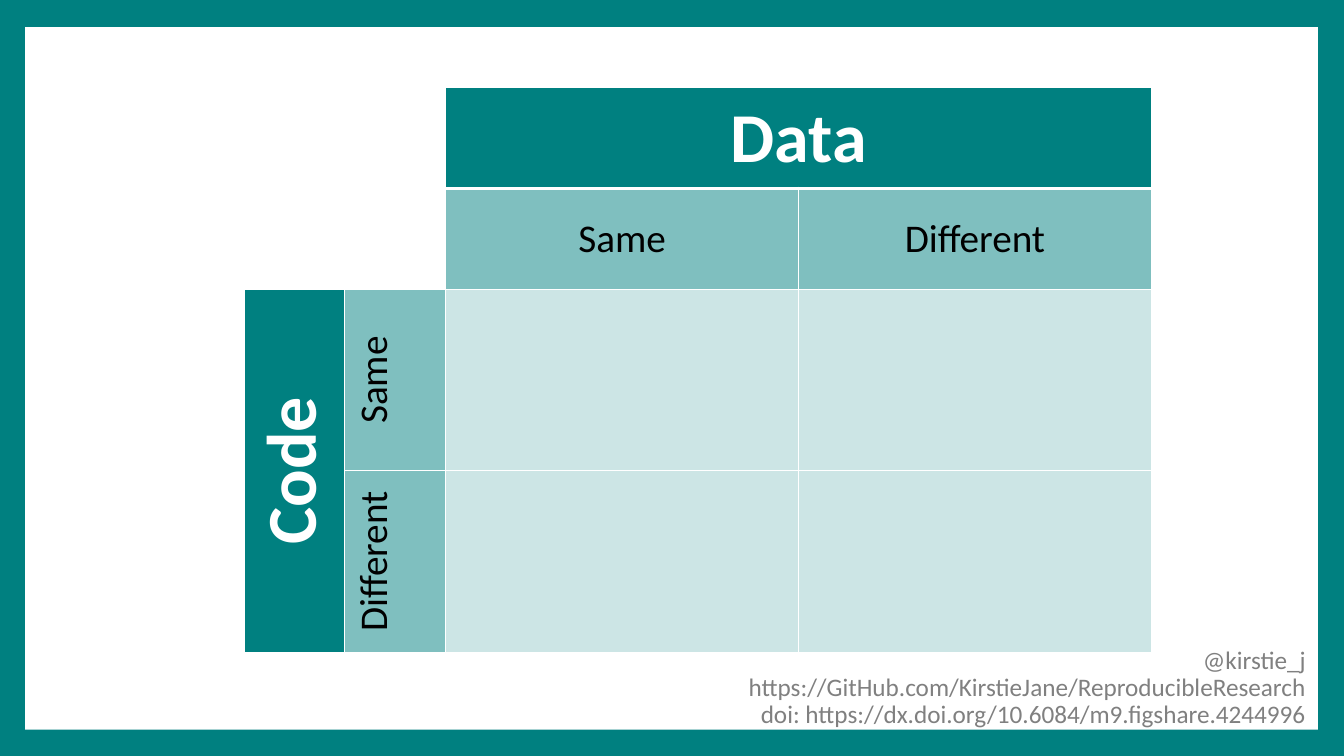
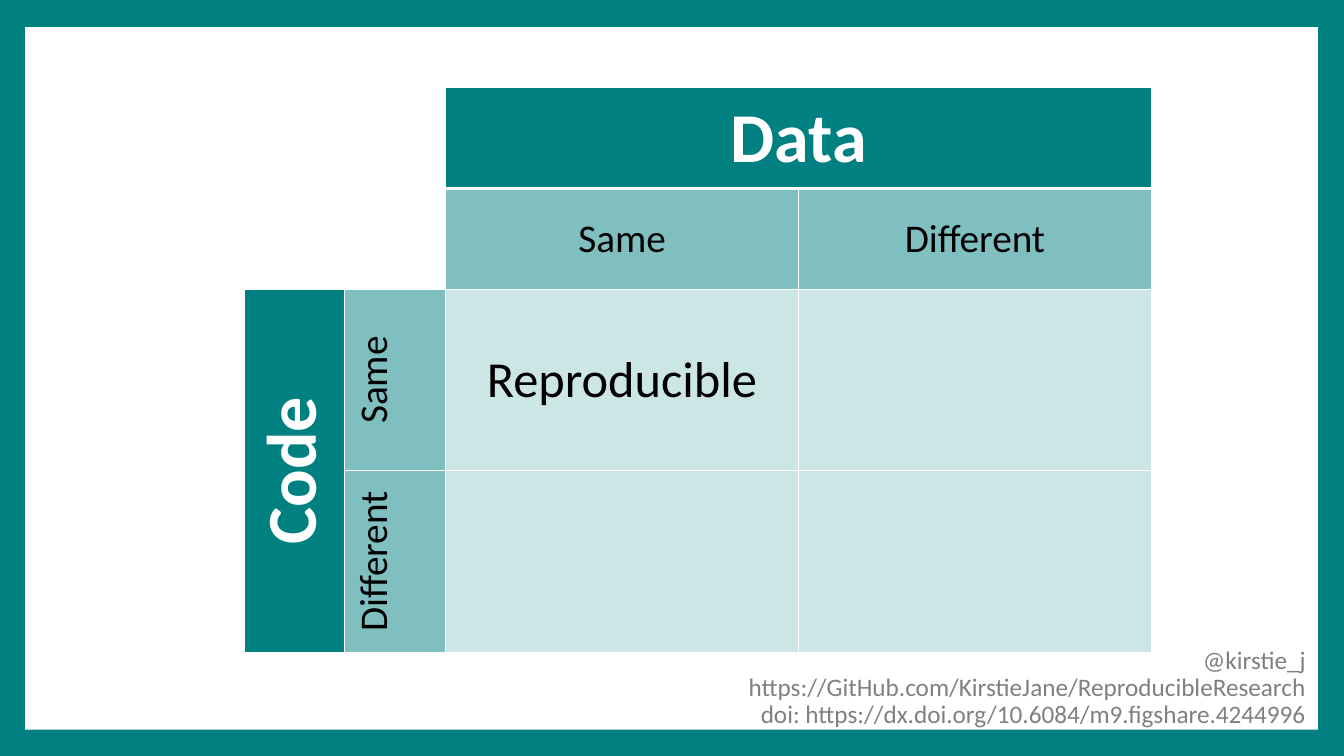
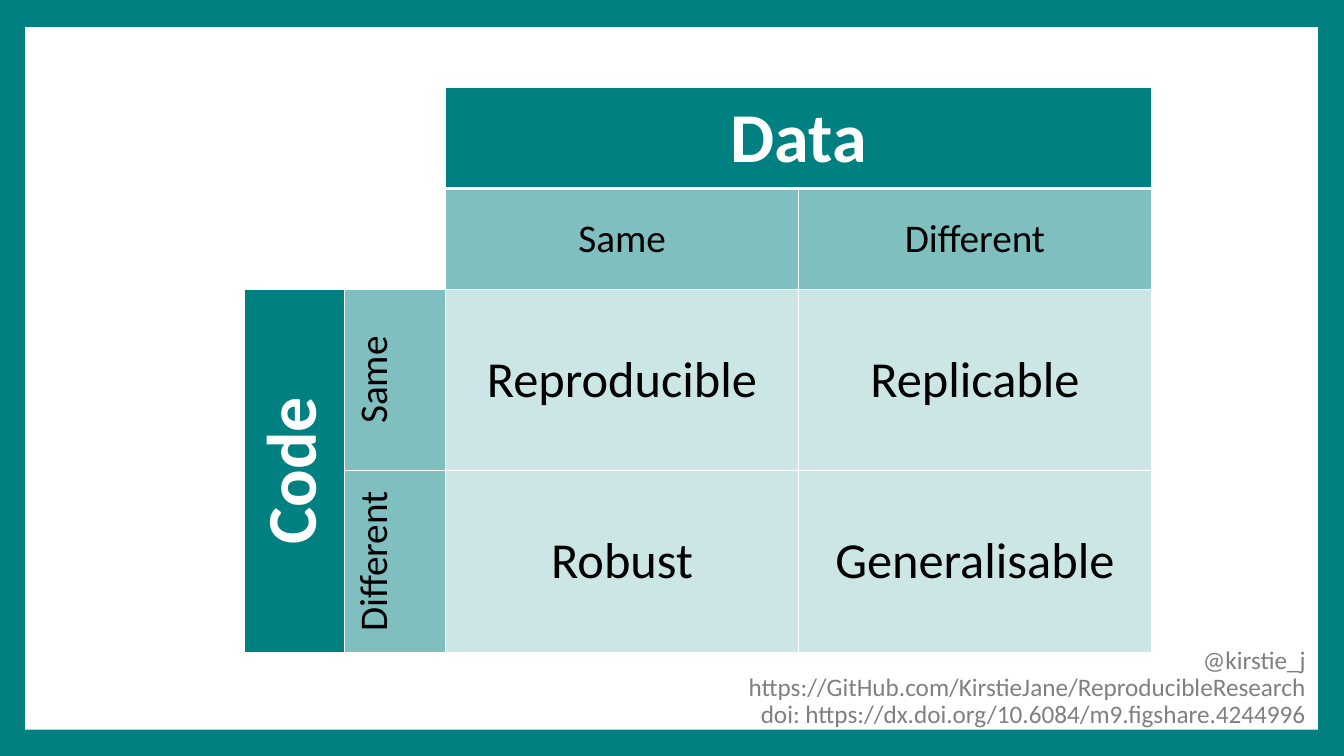
from dataclasses import dataclass
from itertools import product
from typing import Any

from lxml.etree import SubElement as Sub
from pptx import Presentation
from pptx.dml.color import RGBColor as RGB
from pptx.enum.shapes import MSO_SHAPE as Form
from pptx.enum.text import MSO_ANCHOR as Anchor, PP_ALIGN as Align
from pptx.oxml import parse_xml
from pptx.oxml.ns import nsdecls, qn
from pptx.util import Inches as In, Pt


@dataclass(frozen=True)
class Theme:
    face: str = "Calibri"
    teal: RGB = RGB(0x00, 0x80, 0x80)
    white: RGB = RGB(0xFF, 0xFF, 0xFF)
    black: RGB = RGB(0x00, 0x00, 0x00)
    grey: RGB = RGB(0x80, 0x80, 0x80)
    head: int = 50
    label: int = 28
    term: int = 36
    note: int = 18
    thin: int = 1
    thick: int = 3


T = Theme()
WIDE, HIGH = 13.33, 7.5
COLS = (1, 1, 3.5, 3.5)
ROWS = (1, 1, 1.8, 1.8)
LEFT, TOP = 2.42, 0.87
CREDIT = (
    "@kirstie_j",
    "https://GitHub.com/KirstieJane/ReproducibleResearch",
    "doi: https://dx.doi.org/10.6084/m9.figshare.4244996",
)


@dataclass(frozen=True)
class Look:
    """Type and fill of one kind of cell; tint is the fill's opacity in percent."""
    size: int
    color: RGB
    bold: bool
    tint: int


HEAD = Look(T.head, T.white, True, 100)
LABEL = Look(T.label, T.black, False, 50)
TERM = Look(T.term, T.black, False, 20)


@dataclass(frozen=True)
class Box:
    row: int
    col: int
    text: str
    look: Look
    down: int = 1
    over: int = 1
    turn: bool = False


FRAME = (
    Box(0, 2, "Data", HEAD, over=2),
    Box(1, 2, "Same", LABEL),
    Box(1, 3, "Different", LABEL),
    Box(2, 0, "Code", HEAD, down=2, turn=True),
    Box(2, 1, "Same", LABEL, turn=True),
    Box(3, 1, "Different", LABEL, turn=True),
)
SPOTS = tuple(product((2, 3), (2, 3)))
STEPS = (
    ("", "", "", ""),
    ("Reproducible", "", "", ""),
    ("Reproducible", "Replicable", "Robust", "Generalisable"),
)


def style(item: Any, form: dict[str, Any]) -> None:
    for key, value in form.items():
        setattr(item, key, value)


def write(para: Any, text: str, size: int, color: RGB, bold: bool, align: Align) -> None:
    para.alignment = align
    run = para.add_run()
    run.text = text
    style(run.font, {"name": T.face, "size": Pt(size), "bold": bold})
    run.font.color.rgb = color


def dress(slide: Any) -> None:
    """Draw the white panel and the credit lines that every slide shares."""
    panel = slide.shapes.add_shape(Form.RECTANGLE, In(0.25), In(0.27), In(12.82), In(6.97))
    panel.shadow.inherit = False
    panel.fill.solid()
    panel.fill.fore_color.rgb = T.white
    panel.line.fill.background()

    credit = slide.shapes.add_textbox(In(2.15), In(6.33), In(10.9), In(1))
    frame = credit.text_frame
    style(frame, {"word_wrap": True, "vertical_anchor": Anchor.MIDDLE})
    for num, line in enumerate(CREDIT):
        para = frame.add_paragraph() if num else frame.paragraphs[0]
        para.line_spacing = 0.9
        write(para, line, T.note, T.grey, False, Align.RIGHT)


def edge(cell: Any, row: int) -> None:
    """Rule a cell in white, with a thick line below the first row."""
    width = {"L": T.thin, "R": T.thin,
             "T": T.thick if row == 1 else T.thin,
             "B": T.thick if row == 0 else T.thin}
    props = cell._tc.get_or_add_tcPr()
    for num, (side, size) in enumerate(width.items()):
        props.insert(num, parse_xml(
            f'<a:ln{side} {nsdecls("a")} w="{Pt(size)}"><a:solidFill>'
            f'<a:srgbClr val="{T.white}"/></a:solidFill></a:ln{side}>'))


def paint(cell: Any, tint: int) -> None:
    cell.fill.solid()
    cell.fill.fore_color.rgb = T.teal
    if tint < 100:
        color = cell._tc.tcPr.find(qn("a:solidFill")).find(qn("a:srgbClr"))
        Sub(color, qn("a:alpha")).set("val", str(tint * 1000))


def put(table: Any, box: Box) -> None:
    cell = table.cell(box.row, box.col)
    if box.down * box.over > 1:
        cell.merge(table.cell(box.row + box.down - 1, box.col + box.over - 1))
    paint(cell, box.look.tint)
    cell.vertical_anchor = Anchor.MIDDLE
    if box.turn:
        cell._tc.tcPr.set("vert", "vert270")
    if box.text:
        look = box.look
        write(cell.text_frame.paragraphs[0], box.text, look.size, look.color,
              look.bold, Align.CENTER)


def grid(slide: Any, terms: tuple[str, ...]) -> None:
    table = slide.shapes.add_table(len(ROWS), len(COLS), In(LEFT), In(TOP),
                                   In(sum(COLS)), In(sum(ROWS))).table
    style(table, {"first_row": False, "horz_banding": False})
    for col, width in zip(table.columns, COLS):
        col.width = In(width)
    for row, height in zip(table.rows, ROWS):
        row.height = In(height)
    for row, col in product(range(len(ROWS)), range(len(COLS))):
        cell = table.cell(row, col)
        cell.fill.background()
        edge(cell, row)
    cells = (Box(row, col, term, TERM) for (row, col), term in zip(SPOTS, terms))
    for box in (*FRAME, *cells):
        put(table, box)


def main() -> None:
    deck = Presentation()
    style(deck, {"slide_width": In(WIDE), "slide_height": In(HIGH)})
    back = deck.slide_master.background.fill
    back.solid()
    back.fore_color.rgb = T.teal
    for terms in STEPS:
        slide = deck.slides.add_slide(deck.slide_layouts[6])
        dress(slide)
        grid(slide, terms)
    deck.save("out.pptx")


if __name__ == "__main__":
    main()
